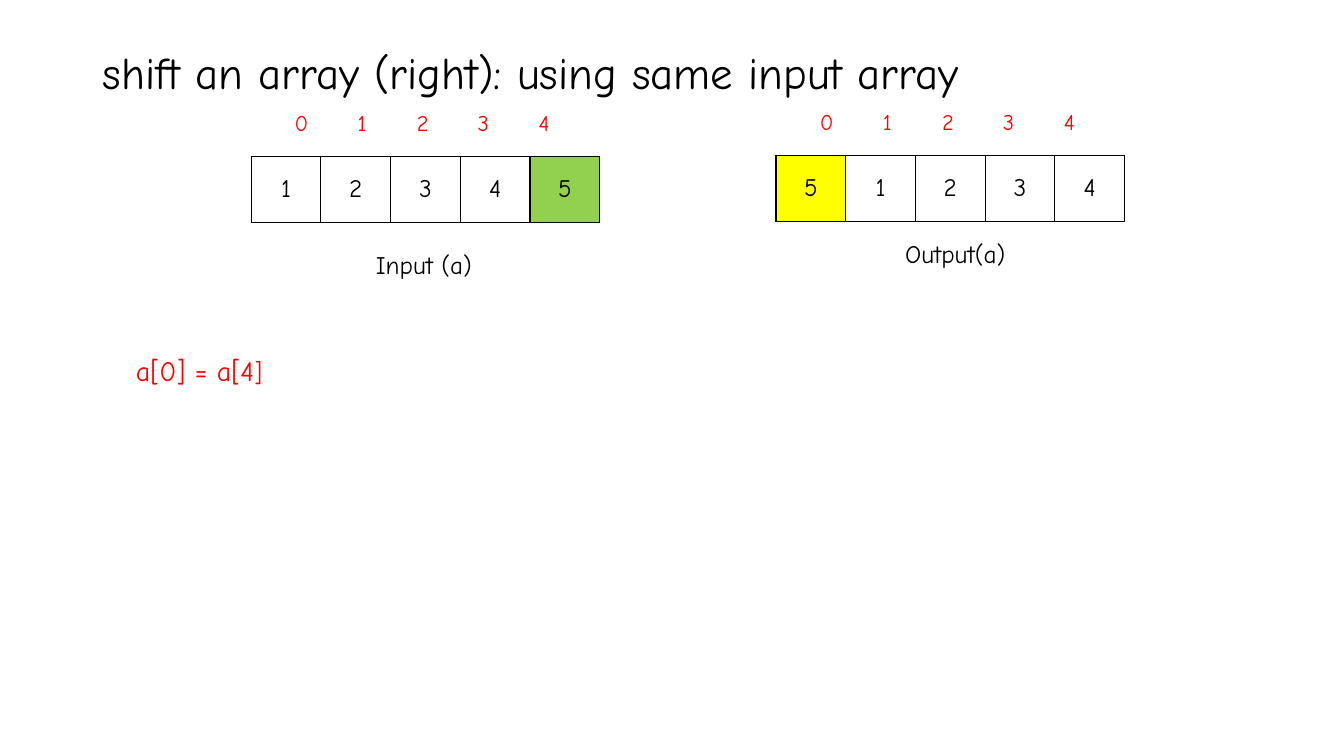
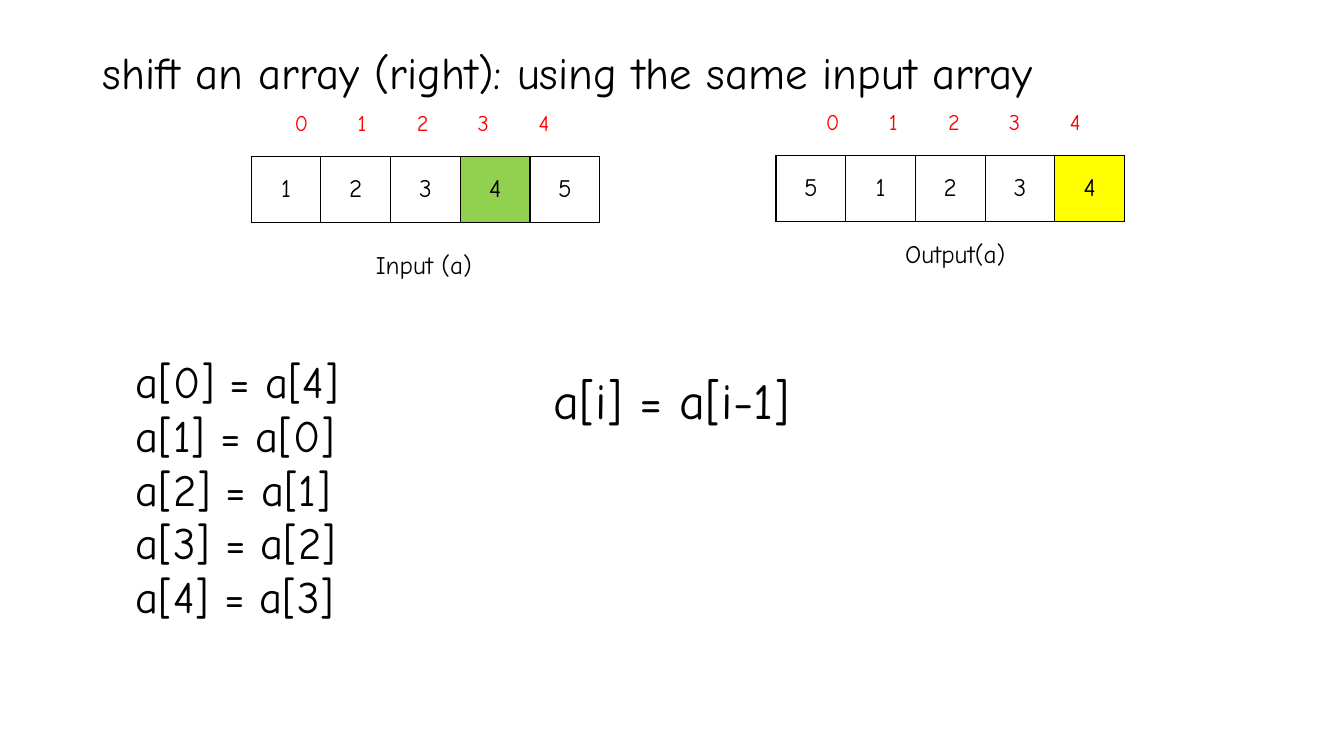
from pptx import Presentation
from pptx.dml.color import RGBColor
from pptx.enum.text import MSO_ANCHOR, MSO_AUTO_SIZE, PP_ALIGN
from pptx.oxml.ns import qn
from pptx.util import Pt
from lxml.etree import SubElement

FONT = "Comic Neue"
BLACK, RED, GREEN, YELLOW = "000000", "FF0000", "92D050", "FFFF00"

TITLE_BOX = (66, 28.8, 828, 49.7)
CELL_SIZE = (49.82, 47.5)
INDEX_SIZE = (43.34, 34.5)
INPUT_VALUES = [1, 2, 3, 4, 5]
OUTPUT_VALUES = [5, 1, 2, 3, 4]
INPUT_AT, INPUT_INDEX_AT = (179.4, 111.7), (193.6, 71.8)
OUTPUT_AT, OUTPUT_INDEX_TOP = (554.3, 110.8), 70.8
LABELS = [("Input (a)", (261.4, 174.2, 113, 29)),
          ("Output(a)", (639.4, 167, 120, 29))]

# A line is a list of (text, size) spans.
SLIDES = [
    {
        "title": "shift an array (right): using same input array",
        "source": 4, "target": 0, "output_index_left": 568.8,
        "notes": [
            ((90, 249.1, 345, 31.5), RED, [[("a[0] = a[4", 20), ("]", 18)]]),
        ],
    },
    {
        "title": "shift an array (right): using the same input array",
        "source": 3, "target": 4, "output_index_left": 573.1,
        "notes": [
            ((90, 249.1, 235.5, 201), BLACK,
             [[(f"a[{i}] = a[{(i - 1) % 5}]", 32)] for i in range(5)]),
            ((388.1, 259.9, 222.5, 51), BLACK, [[("a[i] = a[i-1]", 36)]]),
        ],
    },
]


def rgb(value):
    return RGBColor.from_string(value)


def write(frame, lines, color=BLACK, align=PP_ALIGN.LEFT, spacing=None):
    for number, line in enumerate(lines):
        para = frame.add_paragraph() if number else frame.paragraphs[0]
        para.alignment = align
        if spacing:
            para.line_spacing = spacing
        for text, size in line:
            span = para.add_run()
            span.text = text
            span.font.name = FONT
            span.font.size = Pt(size)
            span.font.color.rgb = rgb(color)


def add_text(page, area, lines, color=BLACK):
    box = page.shapes.add_textbox(*map(Pt, area))
    box.text_frame.word_wrap = True
    box.text_frame.auto_size = MSO_AUTO_SIZE.SHAPE_TO_FIT_TEXT
    write(box.text_frame, lines, color)


def set_borders(cell, color):
    """Give all four sides a 1 pt line, or none when color is None."""
    properties = cell._tc.get_or_add_tcPr()
    for side in ("a:lnL", "a:lnR", "a:lnT", "a:lnB"):
        line = SubElement(properties, qn(side), w=str(Pt(1)))
        if color:
            SubElement(SubElement(line, qn("a:solidFill")), qn("a:srgbClr"), val=color)
        else:
            SubElement(line, qn("a:noFill"))


def add_row(page, at, cell_size, values, size, color=BLACK, border=None, marks=None):
    """Draw a one-row table; marks maps a column to its fill."""
    marks = marks or {}
    width, height = cell_size
    table = page.shapes.add_table(
        1, len(values), Pt(at[0]), Pt(at[1]), Pt(width * len(values)), Pt(height)).table
    table.first_row = table.horz_banding = False
    for number, value in enumerate(values):
        table.columns[number].width = Pt(width)
        cell = table.cell(0, number)
        cell.vertical_anchor = MSO_ANCHOR.MIDDLE
        set_borders(cell, border)
        if number in marks:
            cell.fill.solid()
            cell.fill.fore_color.rgb = rgb(marks[number])
        else:
            cell.fill.background()
        write(cell.text_frame, [[(str(value), size)]], color, PP_ALIGN.CENTER)


def add_title(page, text):
    title = page.shapes.title
    title.left, title.top, title.width, title.height = map(Pt, TITLE_BOX)
    title.text_frame.vertical_anchor = MSO_ANCHOR.MIDDLE
    write(title.text_frame, [[(text, 32)]], spacing=0.9)


def add_slide(deck, content):
    page = deck.slides.add_slide(deck.slide_layouts[5])
    add_title(page, content["title"])
    arrays = [
        (INPUT_VALUES, INPUT_AT, INPUT_INDEX_AT, {content["source"]: GREEN}),
        (OUTPUT_VALUES, OUTPUT_AT, (content["output_index_left"], OUTPUT_INDEX_TOP),
         {content["target"]: YELLOW}),
    ]
    for values, at, index_at, marks in arrays:
        add_row(page, at, CELL_SIZE, values, 18, border=BLACK, marks=marks)
        add_row(page, index_at, INDEX_SIZE, range(len(values)), 16, color=RED)
    for text, area in LABELS:
        add_text(page, area, [[(text, 18)]])
    for area, color, lines in content["notes"]:
        add_text(page, area, lines, color)


def main():
    deck = Presentation()
    deck.slide_width, deck.slide_height = Pt(960), Pt(540)
    for content in SLIDES:
        add_slide(deck, content)
    deck.save("out.pptx")


if __name__ == "__main__":
    main()
